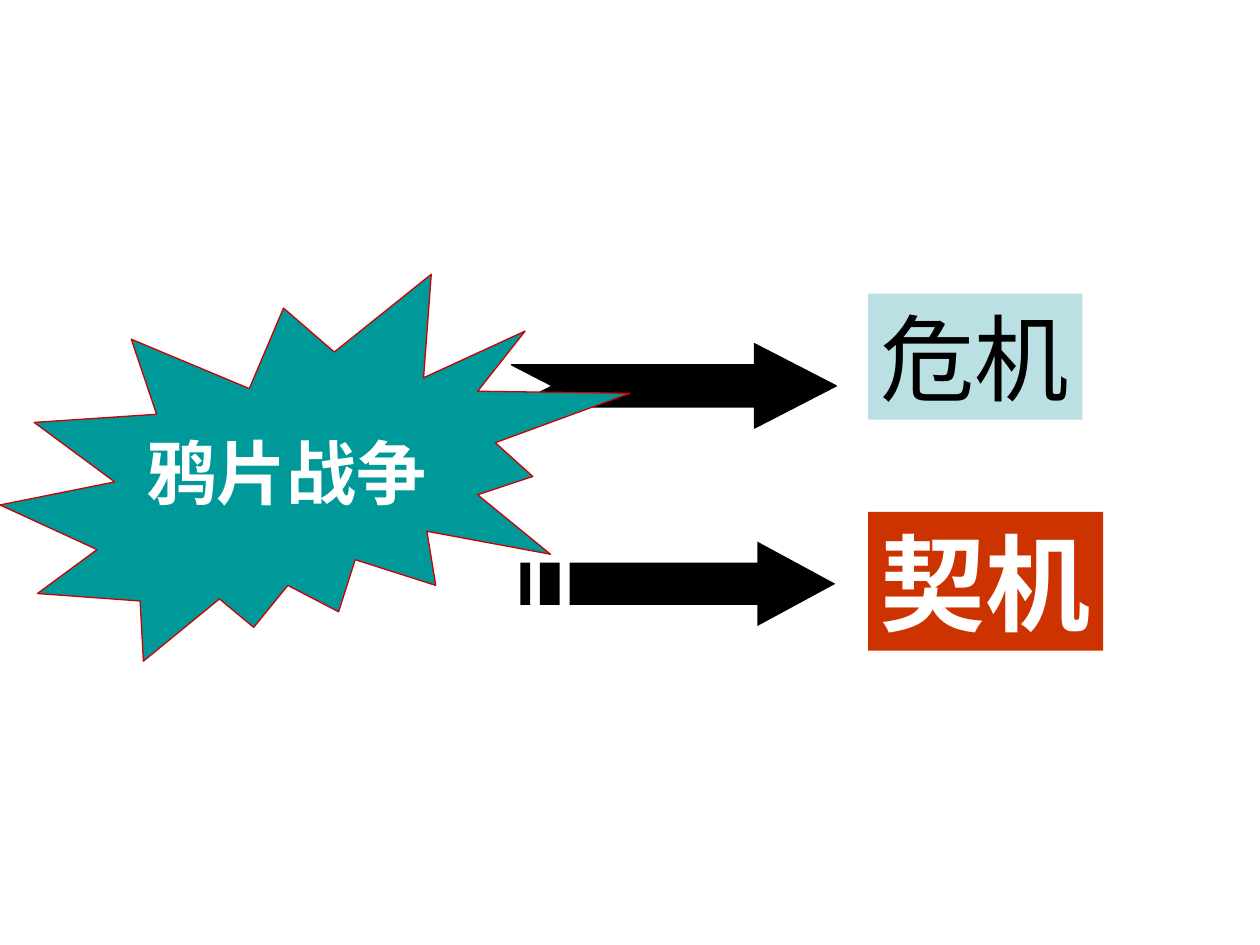
from pptx import Presentation
from pptx import util as u
from pptx.dml.color import RGBColor
from pptx.enum import shapes, text

BLACK = RGBColor(0x00, 0x00, 0x00)
WHITE = RGBColor(0xFF, 0xFF, 0xFF)
PALE_BLUE = RGBColor(0xBB, 0xE0, 0xE3)
ORANGE_RED = RGBColor(0xCC, 0x33, 0x00)
TEAL = RGBColor(0x00, 0x99, 0x99)
CRIMSON = RGBColor(0xCC, 0x00, 0x00)

ARROW_HEIGHT = 1.7
SHAFT_TOP, SHAFT_BOTTOM = 0.25 * ARROW_HEIGHT, 0.75 * ARROW_HEIGHT


def style_shape(shape, fill, line=None):
    shape.shadow.inherit = False
    shape.fill.solid()
    shape.fill.fore_color.rgb = fill
    if line is None:
        shape.line.fill.background()
    else:
        shape.line.color.rgb = line
        shape.line.width = u.Pt(0.75)


def write_text(shape, content, size, color, bold=False, wrap=False):
    frame = shape.text_frame
    frame.word_wrap = wrap
    frame.vertical_anchor = text.MSO_ANCHOR.TOP
    paragraph = frame.paragraphs[0]
    paragraph.alignment = text.PP_ALIGN.LEFT
    run = paragraph.add_run()
    run.text = content
    run.font.name = "Arial"
    run.font.size = u.Pt(size)
    run.font.bold = bold
    run.font.color.rgb = color


def add_preset(slide, kind, left, top, width, height, fill, line=None):
    shape = slide.shapes.add_shape(
        kind, u.Cm(left), u.Cm(top), u.Cm(width), u.Cm(height))
    style_shape(shape, fill, line)
    return shape


def add_outline(slide, left, top, contours, line=None):
    """Draw closed contours, given in cm from the left top corner."""
    placed = [[(u.Cm(left + x), u.Cm(top + y)) for x, y in contour]
              for contour in contours]
    builder = slide.shapes.build_freeform(*placed[0][0])
    for index, points in enumerate(placed):
        if index:
            builder.move_to(*points[0])
        builder.add_line_segments(points[1:], close=True)
    style_shape(builder.convert_to_shape(), BLACK, line)


def arrow_contour(tail, width, head):
    neck = width - head
    return [(tail, SHAFT_TOP), (neck, SHAFT_TOP), (neck, 0),
            (width, ARROW_HEIGHT / 2), (neck, ARROW_HEIGHT),
            (neck, SHAFT_BOTTOM), (tail, SHAFT_BOTTOM)]


def add_notched_arrow(slide, left, top, width, head):
    notch = (head / 2, ARROW_HEIGHT / 2)
    add_outline(slide, left, top, [arrow_contour(0, width, head) + [notch]], BLACK)


def add_striped_arrow(slide, left, top, width, head):
    # Stripes and gaps follow a grid of 1/32 of the width
    unit = width / 32
    stripes = [[(start, SHAFT_TOP), (end, SHAFT_TOP),
                (end, SHAFT_BOTTOM), (start, SHAFT_BOTTOM)]
               for start, end in ((0, unit), (2 * unit, 4 * unit))]
    add_outline(slide, left, top, [arrow_contour(5 * unit, width, head)] + stripes)


def main():
    presentation = Presentation()
    presentation.slide_width, presentation.slide_height = u.Cm(25.4), u.Cm(19.05)
    slide = presentation.slides.add_slide(presentation.slide_layouts[6])

    # Upper arrow, partly behind the burst
    add_notched_arrow(slide, 10.31, 6.93, 6.55, head=1.65)

    # Outcomes
    rectangle = shapes.MSO_SHAPE.RECTANGLE
    crisis = add_preset(slide, rectangle, 17.5, 5.92, 4.32, 2.54, PALE_BLUE)
    write_text(crisis, "危机", 54, BLACK)
    turning_point = add_preset(slide, rectangle, 17.5, 10.32, 4.74, 2.8, ORANGE_RED)
    write_text(turning_point, "契机", 60, WHITE, bold=True)

    # Cause: burst with its label
    add_preset(slide, shapes.MSO_SHAPE.EXPLOSION2, 0, 5.53, 12.7, 7.8, TEAL, CRIMSON)
    label = slide.shapes.add_textbox(u.Cm(2.7), u.Cm(8.53), u.Cm(7.42), u.Cm(1.9))
    write_text(label, "鸦片战争", 40, WHITE, bold=True, wrap=True)

    # Lower arrow
    add_striped_arrow(slide, 10.49, 10.92, 6.35, head=1.57)

    presentation.save("out.pptx")


if __name__ == "__main__":
    main()
